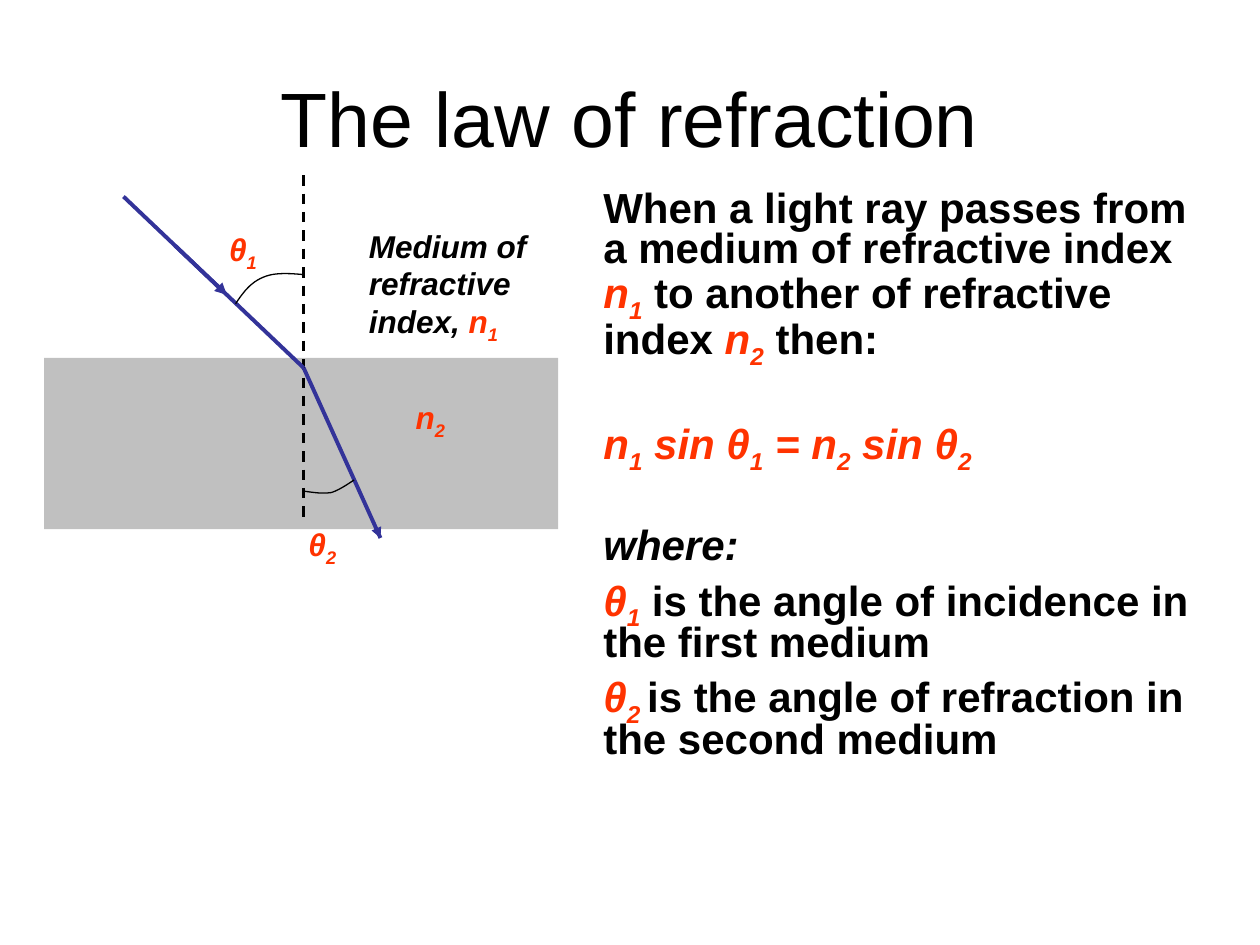
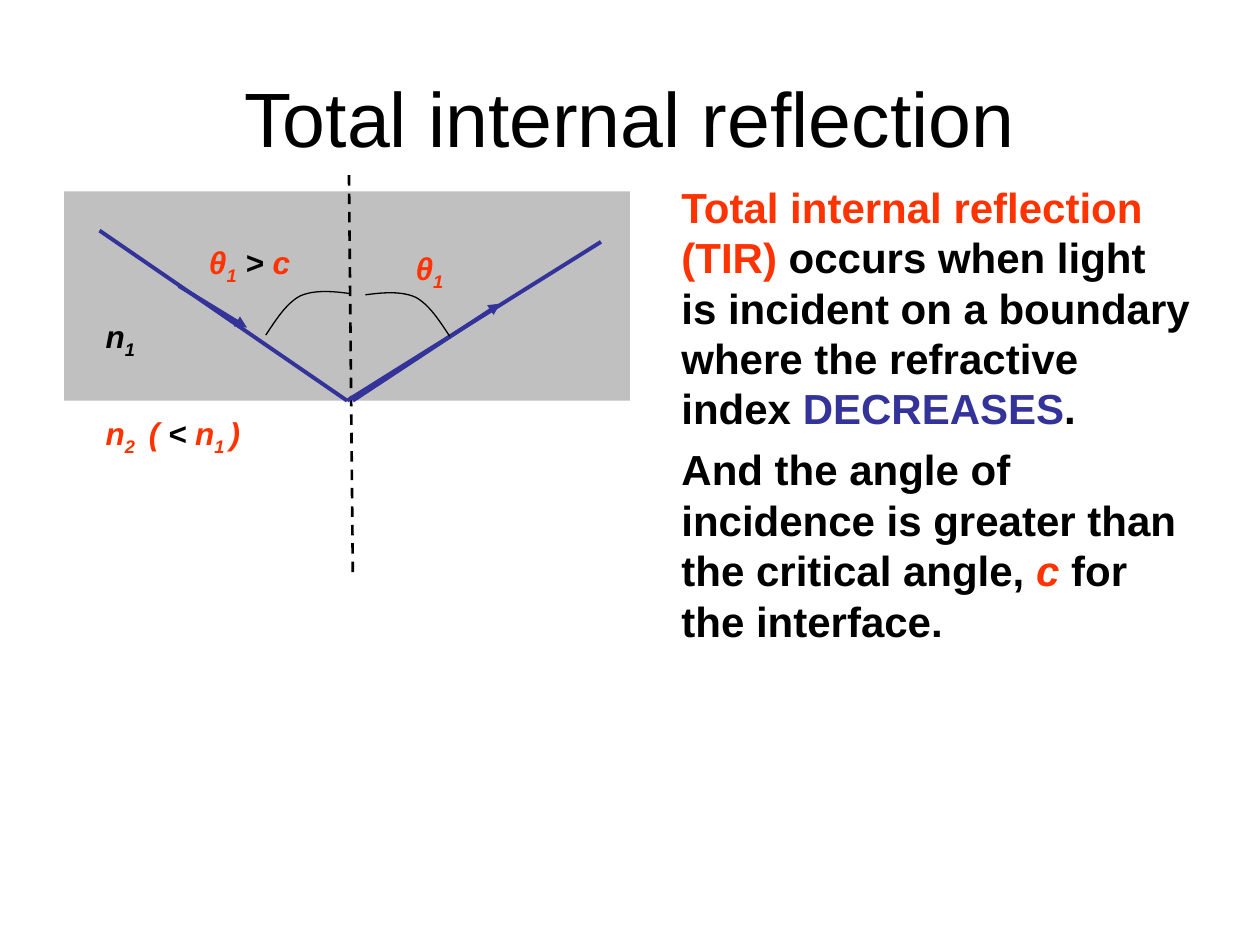
"""Build two slides on refraction and total internal reflection."""
from dataclasses import dataclass
from typing import NamedTuple, Optional

from lxml import etree
from pptx import Presentation
from pptx import util as u
from pptx.dml.color import RGBColor
from pptx.enum import dml, shapes, text
from pptx.oxml import ns


@dataclass(frozen=True)
class Theme:
    font: str = "Arial"
    ink: RGBColor = RGBColor(0x00, 0x00, 0x00)
    accent: RGBColor = RGBColor(0xFF, 0x33, 0x00)
    ray: RGBColor = RGBColor(0x33, 0x33, 0x99)
    medium: RGBColor = RGBColor(0xC0, 0xC0, 0xC0)
    title_size: int = 44
    body_size: int = 24
    label_size: int = 18
    thin: float = 0.75
    dashed: float = 1.5
    thick: float = 2.25
    subscript: int = -25000


THEME = Theme()
Point = tuple[float, float]
Box = tuple[float, float, float, float]


class Run(NamedTuple):
    words: str
    color: RGBColor = THEME.ink
    italic: bool = False
    sub: bool = False


class Para(NamedTuple):
    runs: list[Run]
    before: float = 6
    spacing: float = 1.0


class Label(NamedTuple):
    box: Box
    runs: list[Run]


class Ray(NamedTuple):
    start: Point
    end: Point
    arrow: bool = False
    width: float = THEME.thick
    start_side: Optional[int] = None
    end_side: Optional[int] = None


@dataclass
class Lesson:
    title: str
    body_box: Box
    body: list[Para]
    block: Box
    normal: tuple[Point, Point]
    rays: list[Ray]
    arcs: list[list[Point]]
    labels: list[Label]


def red(words: str) -> Run:
    """Return an accented italic run."""
    return Run(words, THEME.accent, True)


def symbol(letter: str, index: str, color: RGBColor = THEME.accent) -> list[Run]:
    """Return an italic symbol with its subscript."""
    return [Run(letter, color, True), Run(index, color, True, True)]


def inches(values: tuple[float, ...]) -> list[u.Length]:
    """Convert numbers to lengths."""
    return [u.Inches(value) for value in values]


def write_paragraph(paragraph, runs: list[Run], size: int) -> None:
    """Fill a paragraph with bold runs."""
    font = paragraph.font
    font.name, font.size, font.bold = THEME.font, u.Pt(size), True
    shared_color = len({run.color for run in runs}) == 1
    shared_italic = len({run.italic for run in runs}) == 1
    if shared_color:
        font.color.rgb = runs[0].color
    if shared_italic:
        font.italic = runs[0].italic
    for run in runs:
        piece = paragraph.add_run()
        piece.text = run.words
        if not shared_color:
            piece.font.color.rgb = run.color
        if not shared_italic:
            piece.font.italic = run.italic
        if run.sub:
            piece._r.get_or_add_rPr().set("baseline", str(THEME.subscript))


def add_text(slide, box: Box, paras: list[Para], size: int) -> None:
    """Add a wrapped text box."""
    frame = slide.shapes.add_textbox(*inches(box)).text_frame
    frame.word_wrap = True
    for number, para in enumerate(paras):
        paragraph = frame.add_paragraph() if number else frame.paragraphs[0]
        paragraph.space_before = u.Pt(para.before if number else 0)
        paragraph.line_spacing = para.spacing
        write_paragraph(paragraph, para.runs, size)


def add_title(slide, words: str) -> None:
    """Place and format the title placeholder."""
    title = slide.shapes.title
    title.left, title.top, title.width, title.height = inches((0.5, 0.3, 9, 1.25))
    title.text_frame.text = words
    title.text_frame.vertical_anchor = text.MSO_ANCHOR.MIDDLE
    paragraph = title.text_frame.paragraphs[0]
    paragraph.alignment = text.PP_ALIGN.CENTER
    paragraph.font.name = THEME.font
    paragraph.font.size = u.Pt(THEME.title_size)
    paragraph.font.color.rgb = THEME.ink


def add_block(slide, box: Box):
    """Add the grey optical medium."""
    block = slide.shapes.add_shape(shapes.MSO_SHAPE.RECTANGLE, *inches(box))
    block.shadow.inherit = False
    block.fill.solid()
    block.fill.fore_color.rgb = THEME.medium
    block.line.fill.background()
    return block


def add_line(slide, start: Point, end: Point, color: RGBColor, width: float):
    """Add a straight line without shadow."""
    line = slide.shapes.add_connector(
        shapes.MSO_CONNECTOR.STRAIGHT, *inches(start + end))
    line.line.color.rgb = color
    line.line.width = u.Pt(width)
    etree.SubElement(line._element.spPr, ns.qn("a:effectLst"))
    return line


def add_ray(slide, ray: Ray, block) -> None:
    """Add a light ray, joined to the block where it meets a side."""
    line = add_line(slide, ray.start, ray.end, THEME.ray, ray.width)
    if ray.arrow:
        etree.SubElement(line.line._get_or_add_ln(), ns.qn("a:tailEnd"), type="triangle")
    if ray.start_side is not None:
        line.begin_connect(block, ray.start_side)
    if ray.end_side is not None:
        line.end_connect(block, ray.end_side)


def add_arc(slide, points: list[Point], steps: int = 12) -> None:
    """Draw chained cubic curves as a fine open outline."""
    outline = []
    for first in range(0, len(points) - 1, 3):
        a, b, c, d = points[first:first + 4]
        for step in range(1, steps + 1):
            t = step / steps
            s = 1 - t
            outline.append(tuple(
                u.Inches(s**3 * p + 3 * s * s * t * q + 3 * s * t * t * r + t**3 * e)
                for p, q, r, e in zip(a, b, c, d)))
    builder = slide.shapes.build_freeform(*inches(points[0]))
    builder.add_line_segments(outline, close=False)
    arc = builder.convert_to_shape()
    arc.shadow.inherit = False
    arc.fill.background()
    arc.line.color.rgb = THEME.ink
    arc.line.width = u.Pt(THEME.thin)


def add_lesson(deck, lesson: Lesson) -> None:
    """Add one slide with its text and ray diagram."""
    slide = deck.slides.add_slide(deck.slide_layouts[5])
    add_title(slide, lesson.title)
    add_text(slide, lesson.body_box, lesson.body, THEME.body_size)
    block = add_block(slide, lesson.block)
    normal = add_line(slide, *lesson.normal, THEME.ink, THEME.dashed)
    normal.line.dash_style = dml.MSO_LINE.DASH
    for ray in lesson.rays:
        add_ray(slide, ray, block)
    for arc in lesson.arcs:
        add_arc(slide, arc)
    for label in lesson.labels:
        add_text(slide, label.box, [Para(label.runs)], THEME.label_size)


TIGHT = 0.8
SECTION_GAP = 34
ENTRY = (2.41, 2.92)
EXIT = (3.02, 4.27)
REFRACTION = Lesson(
    title="The law of refraction",
    body_box=(4.69, 1.47, 4.89, 4.84),
    body=[
        Para([Run("When a light ray passes from a medium of refractive index "),
              *symbol("n", "1"), Run(" to another of refractive index "),
              *symbol("n", "2"), Run(" then:")], spacing=TIGHT),
        Para([*symbol("n", "1"), *symbol(" sin θ", "1"),
              *symbol(" = n", "2"), *symbol(" sin θ", "2")], SECTION_GAP, TIGHT),
        Para([Run("where:", italic=True)], SECTION_GAP, TIGHT),
        Para([*symbol("θ", "1"),
              Run(" is the angle of incidence in the first medium")], spacing=TIGHT),
        Para([*symbol("θ", "2 "),
              Run("is the angle of refraction in the second medium")], spacing=TIGHT),
    ],
    block=(0.35, 2.84, 4.08, 1.36),
    normal=((2.41, 1.39), (2.41, 4.1)),
    rays=[
        Ray((0.98, 1.56), ENTRY),
        Ray(ENTRY, EXIT),
        Ray((1.39, 1.95), (1.8, 2.34), arrow=True),
        Ray((2.83, 3.83), EXIT, arrow=True, width=THEME.thin),
    ],
    arcs=[
        [(1.87, 2.41), (1.93, 2.32), (1.99, 2.24), (2.09, 2.2),
         (2.18, 2.16), (2.3, 2.17), (2.42, 2.18)],
        [(2.42, 3.9), (2.49, 3.91), (2.56, 3.92), (2.63, 3.91),
         (2.69, 3.89), (2.75, 3.85), (2.81, 3.81)],
    ],
    labels=[
        Label((3.2, 3.11, 0.86, 0.5), symbol("n", "2")),
        Label((2.83, 1.75, 1.85, 1.07),
              [Run("Medium of refractive index, ", italic=True), *symbol("n", "1")]),
        Label((2.35, 4.12, 0.86, 0.5), symbol("θ", "2")),
        Label((1.72, 1.78, 0.86, 0.5), symbol("θ", "1")),
    ],
)

MIRROR_SUM = 5.68
BOTTOM = 2
BOUNCE = (2.77, 3.18)
INCIDENCE_ARC = [(2.11, 2.66), (2.19, 2.54), (2.27, 2.41), (2.38, 2.35),
                 (2.49, 2.3), (2.63, 2.31), (2.78, 2.33)]
REFLECTION = Lesson(
    title="Total internal reflection",
    body_box=(5.31, 1.39, 4.25, 4.02),
    body=[
        Para([Run("Total internal reflection (TIR)", THEME.accent),
              Run(" occurs when light is incident on a boundary where the refractive index "),
              Run("DECREASES", THEME.ray), Run(".")]),
        Para([Run("And the angle of incidence is greater than the critical angle, "),
              red("c"), Run(" for the interface.")]),
    ],
    block=(0.51, 1.52, 4.49, 1.66),
    normal=((2.77, 1.39), (2.8, 4.54)),
    rays=[
        Ray((0.79, 1.83), BOUNCE, end_side=BOTTOM),
        Ray(BOUNCE, (4.77, 1.92), start_side=BOTTOM),
        Ray((1.42, 2.27), (1.96, 2.6), arrow=True),
        Ray((2.8, 3.18), (3.97, 2.41), arrow=True),
    ],
    arcs=[INCIDENCE_ARC, [(MIRROR_SUM - x, y + 0.01) for x, y in INCIDENCE_ARC]],
    labels=[
        Label((0.74, 3.24, 1.5, 0.59),
              [*symbol("n", "2 "), red(" ( "), Run("<", italic=True),
               *symbol(" n", "1 "), red(")")]),
        Label((0.74, 2.47, 0.81, 0.66), symbol("n", "1", THEME.ink)),
        Label((3.2, 1.93, 0.94, 0.59), symbol("θ", "1")),
        Label((1.56, 1.88, 1.18, 0.59),
              [*symbol("θ", "1"), Run(" > ", italic=True), red("c")]),
    ],
)


def main() -> None:
    """Build and save the deck."""
    deck = Presentation()
    deck.slide_width, deck.slide_height = u.Inches(10), u.Inches(7.5)
    for lesson in (REFRACTION, REFLECTION):
        add_lesson(deck, lesson)
    deck.save("out.pptx")


if __name__ == "__main__":
    main()
